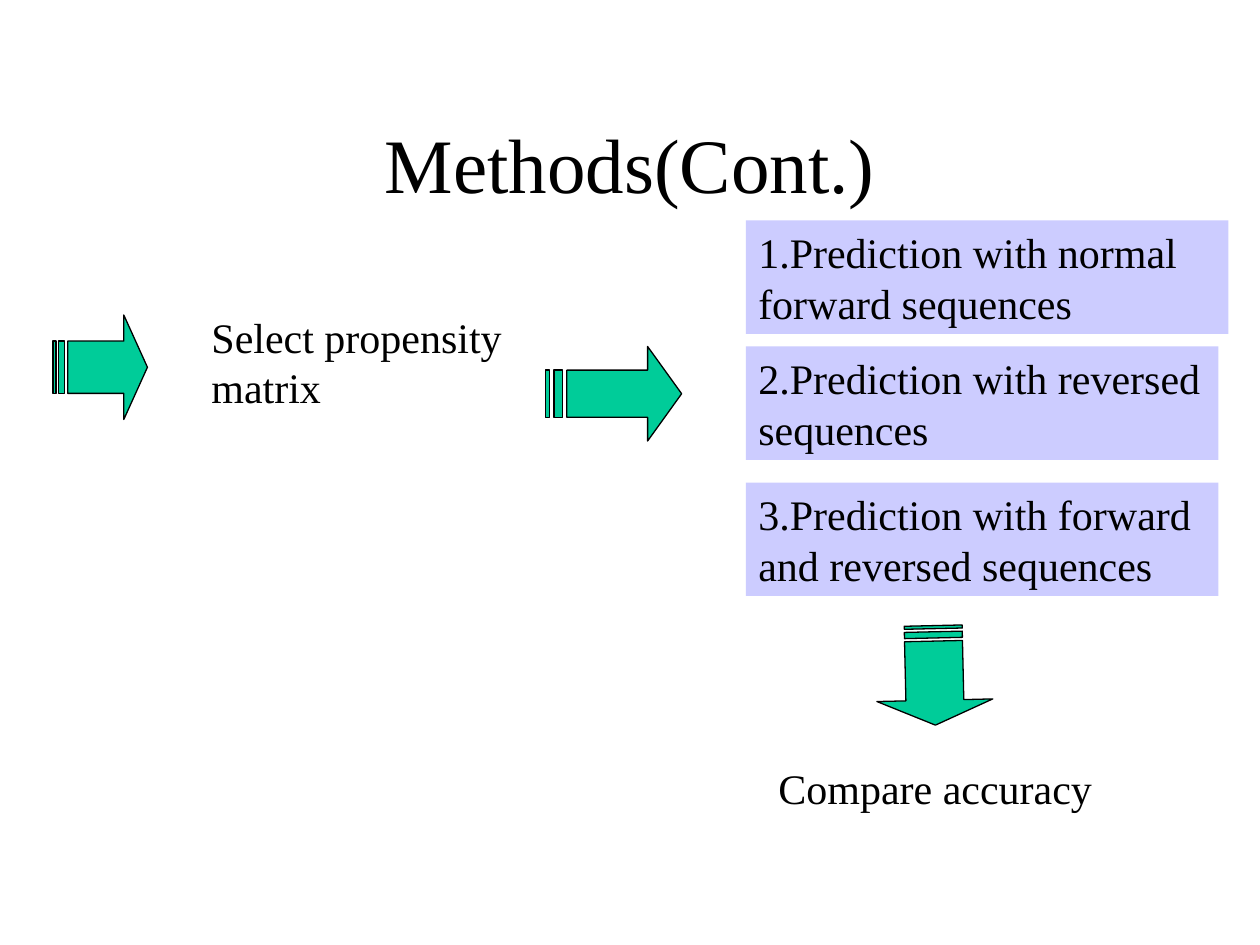
"""Build the Methods(Cont.) slide, a flow of steps joined by striped arrows."""
import pptx
import pptx.dml.color
import pptx.enum.shapes
import pptx.enum.text
import pptx.util
from pptx.util import Inches

BLACK = pptx.dml.color.RGBColor(0x00, 0x00, 0x00)
GREEN = pptx.dml.color.RGBColor(0x00, 0xCC, 0x99)
LAVENDER = pptx.dml.color.RGBColor(0xCC, 0xCC, 0xFF)
ANCHOR = pptx.enum.text.MSO_ANCHOR
ALIGN = pptx.enum.text.PP_ALIGN


def write_text(frame, text, size=24, align=ALIGN.LEFT, anchor=ANCHOR.TOP,
               fit=pptx.enum.text.MSO_AUTO_SIZE.SHAPE_TO_FIT_TEXT):
    frame.word_wrap = True
    frame.auto_size = fit
    frame.vertical_anchor = anchor
    para = frame.paragraphs[0]
    para.alignment = align
    span = para.add_run()
    span.text = text
    span.font.name = "Times New Roman"
    span.font.size = pptx.util.Pt(size)
    span.font.color.rgb = BLACK


class FlowSlide:
    def __init__(self, page):
        self.page = page

    def title(self, text, left, top, width, height):
        box = self.page.shapes.title
        box.left, box.top = Inches(left), Inches(top)
        box.width, box.height = Inches(width), Inches(height)
        write_text(box.text_frame, text, size=44, align=ALIGN.CENTER,
                   anchor=ANCHOR.MIDDLE,
                   fit=pptx.enum.text.MSO_AUTO_SIZE.NONE)

    def label(self, text, left, top, width, height):
        box = self.page.shapes.add_textbox(
            Inches(left), Inches(top), Inches(width), Inches(height))
        write_text(box.text_frame, text)

    def panel(self, text, left, top, width, height):
        box = self.page.shapes.add_shape(
            pptx.enum.shapes.MSO_SHAPE.RECTANGLE,
            Inches(left), Inches(top), Inches(width), Inches(height))
        box.shadow.inherit = False
        box.fill.solid()
        box.fill.fore_color.rgb = LAVENDER
        box.line.fill.background()
        write_text(box.text_frame, text)

    def striped_arrow(self, left, top, width, height, rotation=0):
        def place(column, row):
            return (Inches(left + width * column / 32),
                    Inches(top + height * row / 4))

        head = [(5, 1), (24, 1), (24, 0), (32, 2), (24, 4), (24, 3), (5, 3)]
        stripes = [[(start, 1), (end, 1), (end, 3), (start, 3)]
                   for start, end in [(0, 1), (2, 4)]]
        builder = self.page.shapes.build_freeform(*place(*head[0]))
        for outline in [head, *stripes]:
            points = [place(*point) for point in outline]
            if outline is not head:
                builder.move_to(*points[0])
            builder.add_line_segments(points[1:], close=True)
        arrow = builder.convert_to_shape()
        arrow.shadow.inherit = False
        arrow.fill.solid()
        arrow.fill.fore_color.rgb = GREEN
        arrow.line.color.rgb = BLACK
        arrow.line.width = pptx.util.Pt(0.75)
        arrow.rotation = rotation


def main():
    deck = pptx.Presentation()
    deck.slide_width, deck.slide_height = Inches(10), Inches(7.5)
    flow = FlowSlide(deck.slides.add_slide(deck.slide_layouts[5]))

    flow.title("Methods(Cont.)", 0.75, 0.67, 8.5, 1.25)
    flow.label("Select propensity matrix", 1.58, 2.42, 2.58, 0.9)
    flow.striped_arrow(0.42, 2.5, 0.75, 0.83)
    flow.striped_arrow(4.33, 2.75, 1.08, 0.75)
    for text, top, width in [
        ("1.Prediction with normal forward sequences", 1.75, 3.83),
        ("2.Prediction with reversed sequences", 2.75, 3.75),
        ("3.Prediction with forward and reversed sequences", 3.83, 3.75),
    ]:
        flow.panel(text, 5.92, top, width, 0.9)
    flow.striped_arrow(7.02, 4.9, 0.79, 0.92, rotation=88.7)
    flow.label("Compare accuracy", 6.08, 6, 2.75, 0.5)

    deck.save("out.pptx")


if __name__ == "__main__":
    main()
